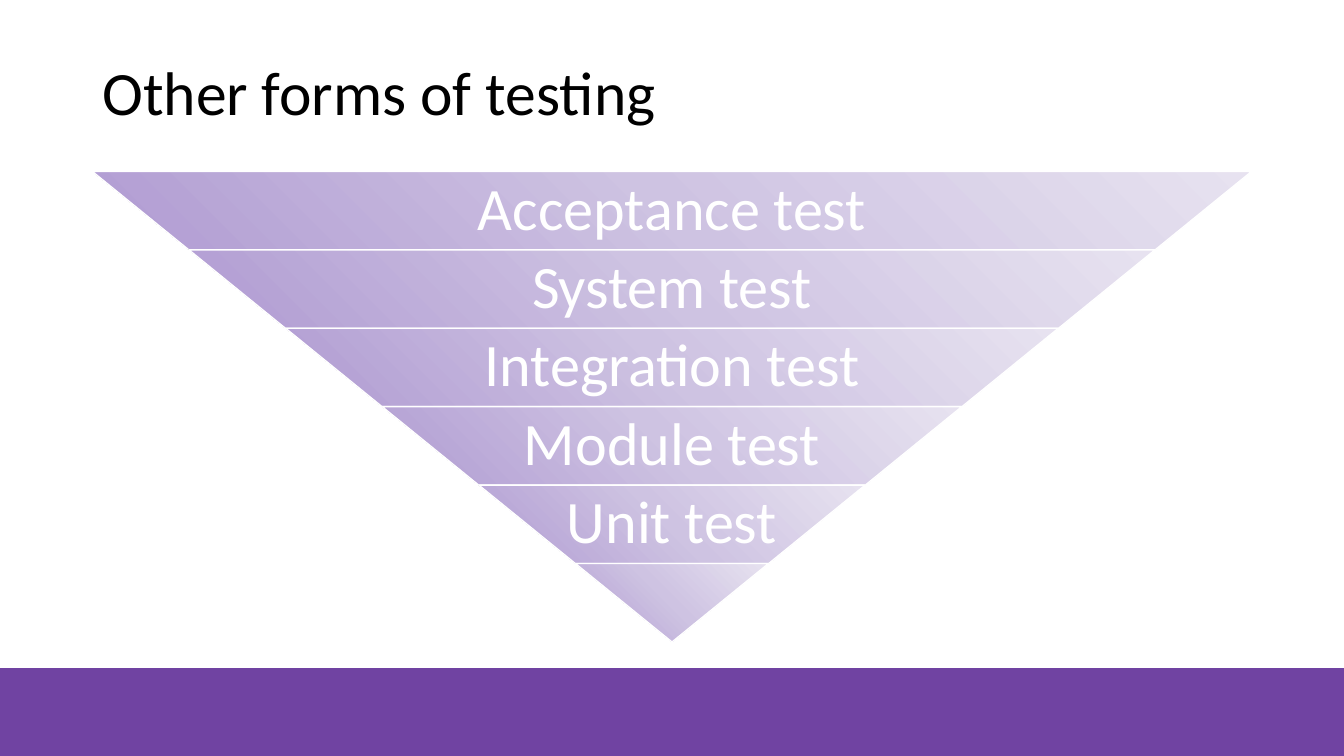
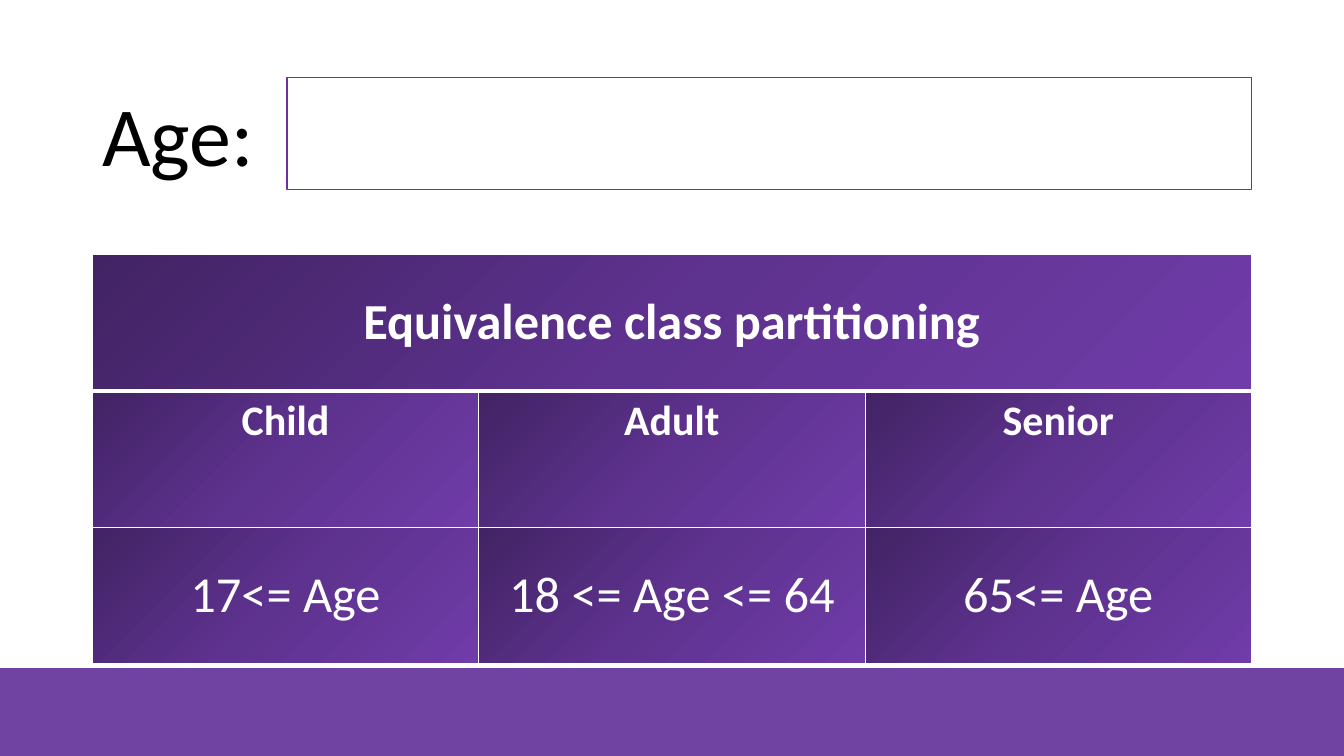
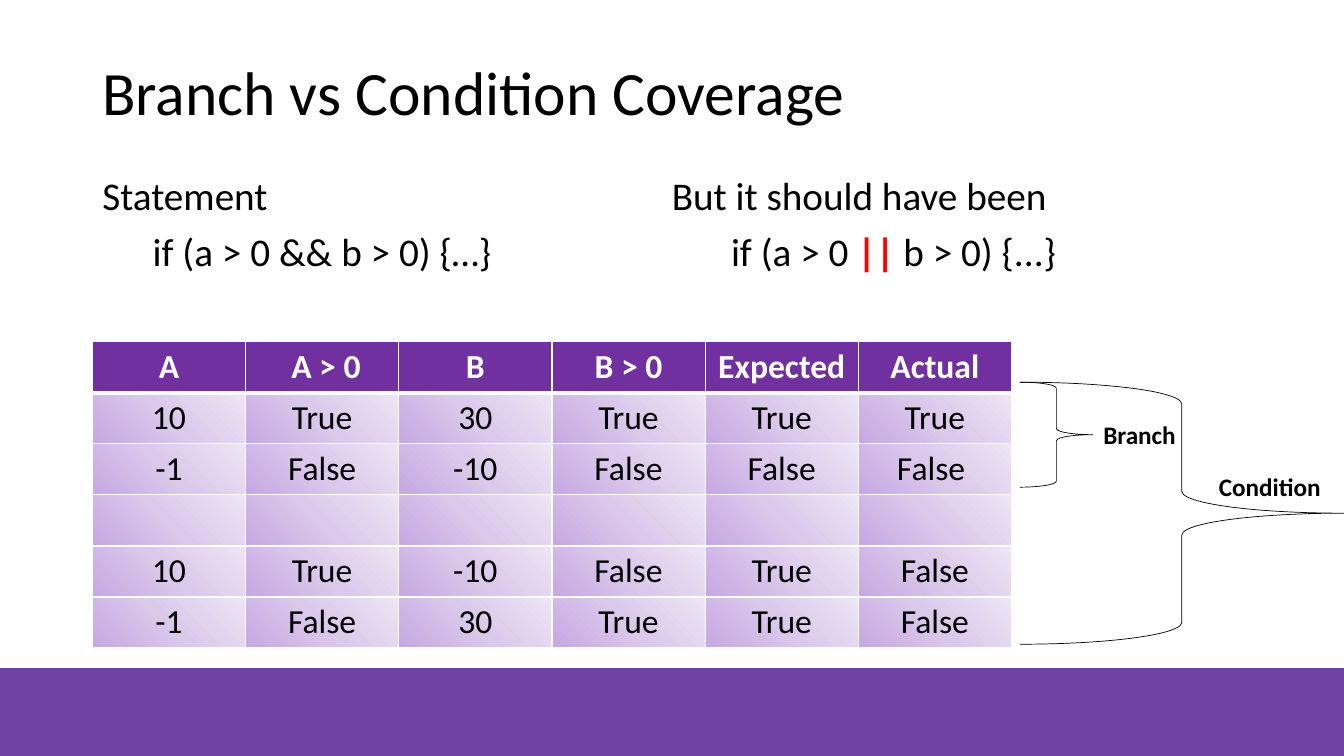
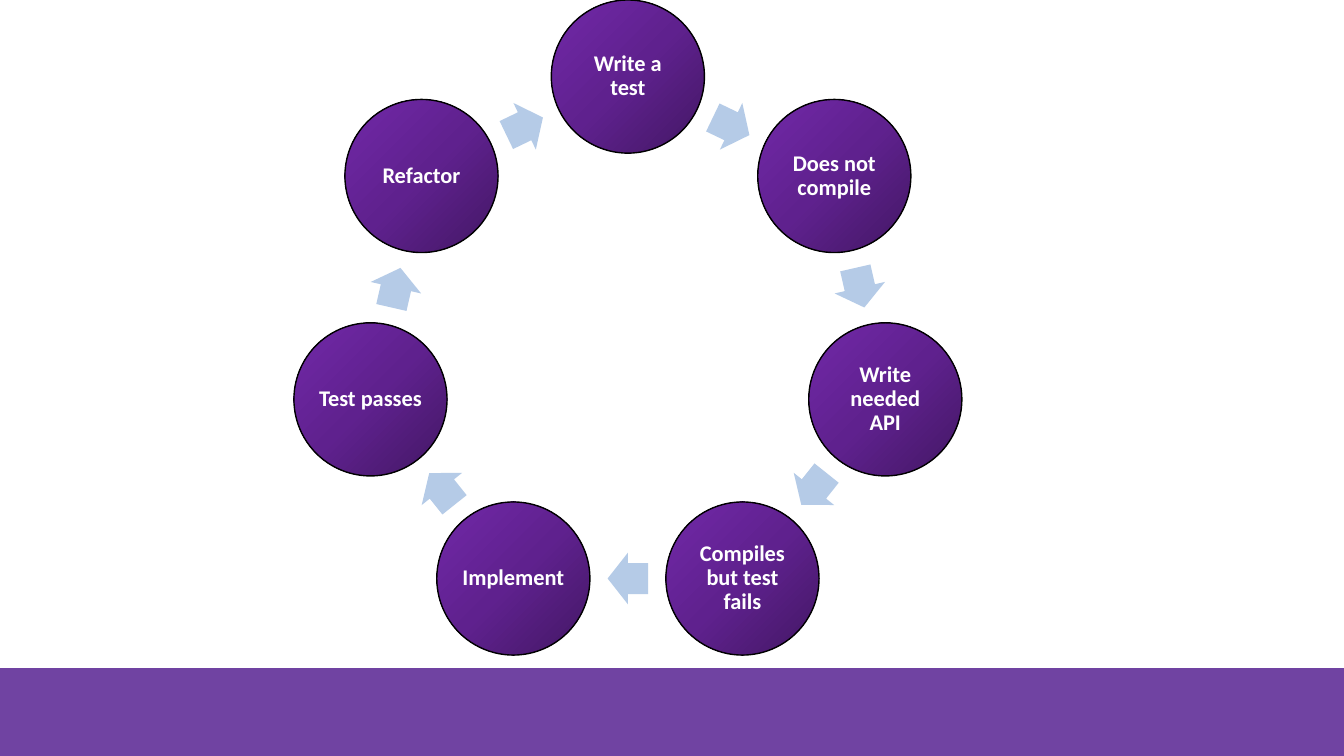
import math

import lxml.etree
import pptx
import pptx.dml.color
import pptx.enum.shapes
import pptx.enum.text
import pptx.oxml.ns
import pptx.util

Pt = pptx.util.Pt
Shape = pptx.enum.shapes.MSO_SHAPE
Align = pptx.enum.text.PP_ALIGN
Anchor = pptx.enum.text.MSO_ANCHOR
qn = pptx.oxml.ns.qn

FONT = "Calibri"
BLACK, WHITE, RED = "000000", "FFFFFF", "FF0000"
PURPLE, BAND, ARROW = "7030A0", "7043A2", "B5CBE7"
FUNNEL_STOPS = ("B09BD2", "CEC3E2", "E7E2F0")
CLASS_STOPS = ("422364", "5E328F", "703CA9")
COVERAGE_STOPS = ("C6A8E2", "DBC9EB", "EDE5F5")
CYCLE_STOPS = ("431764", "5F218E", "7128A8")

SLIDE_WIDTH, SLIDE_HEIGHT = 960, 540
BAND_TOP = 477.2
LEFT, CONTENT_WIDTH = 66, 828


def rgb(value):
    """Turn a hex string into a colour."""
    return pptx.dml.color.RGBColor.from_string(value)


def write_text(frame, text, size=18, color=BLACK, bold=False, align=Align.LEFT,
               anchor=Anchor.TOP, spacing=None, before=None, inset=None):
    """Fill a text frame; text is a string or a list of paragraphs, each a list of (text, color, bold)."""
    frame.word_wrap = True
    frame.vertical_anchor = anchor
    if inset is not None:
        frame.margin_left = frame.margin_right = Pt(inset)
        frame.margin_top = frame.margin_bottom = Pt(inset)
    paragraphs = [[(text, color, bold)]] if isinstance(text, str) else text
    for index, pieces in enumerate(paragraphs):
        paragraph = frame.add_paragraph() if index else frame.paragraphs[0]
        paragraph.alignment = align
        if spacing is not None:
            paragraph.line_spacing = spacing
        if before is not None:
            paragraph.space_before = Pt(before)
        for content, run_color, run_bold in pieces:
            run = paragraph.add_run()
            run.text = content
            run.font.name = FONT
            run.font.size = Pt(size)
            run.font.bold = run_bold
            run.font.color.rgb = rgb(run_color)


def add_text(slide, left, top, width, height, text, **text_format):
    """Add a text box."""
    box = slide.shapes.add_textbox(Pt(left), Pt(top), Pt(width), Pt(height))
    write_text(box.text_frame, text, **text_format)


def add_shape(slide, kind, left, top, width, height, fill=None, line=None, weight=1):
    """Add a preset shape with a plain fill and outline, or none."""
    shape = slide.shapes.add_shape(kind, Pt(left), Pt(top), Pt(width), Pt(height))
    shape.shadow.inherit = False
    if fill:
        shape.fill.solid()
        shape.fill.fore_color.rgb = rgb(fill)
    else:
        shape.fill.background()
    if line:
        shape.line.color.rgb = rgb(line)
        shape.line.width = Pt(weight)
    else:
        shape.line.fill.background()
    return shape


def set_gradient(fill, properties, colors, angle=None):
    """Give a three-stop gradient: linear at an angle, or radial from the lower left corner."""
    fill.gradient()
    gradient = properties.find(qn("a:gradFill"))
    for child in list(gradient):
        gradient.remove(child)
    stops = lxml.etree.SubElement(gradient, qn("a:gsLst"))
    for position, color in zip((0, 50000, 100000), colors):
        stop = lxml.etree.SubElement(stops, qn("a:gs"), pos=str(position))
        lxml.etree.SubElement(stop, qn("a:srgbClr"), val=color)
    if angle is None:
        radial = lxml.etree.SubElement(gradient, qn("a:path"), path="circle")
        lxml.etree.SubElement(radial, qn("a:fillToRect"), t="100000", r="100000")
    else:
        lxml.etree.SubElement(gradient, qn("a:lin"), ang=str(angle * 60000), scaled="0")


def set_borders(cell, top=1, bottom=1):
    """Draw white borders round a table cell."""
    properties = cell._tc.get_or_add_tcPr()
    weights = (("a:lnL", 1), ("a:lnR", 1), ("a:lnT", top), ("a:lnB", bottom))
    for index, (tag, weight) in enumerate(weights):
        border = lxml.etree.Element(qn(tag), w=str(Pt(weight)))
        solid = lxml.etree.SubElement(border, qn("a:solidFill"))
        lxml.etree.SubElement(solid, qn("a:srgbClr"), val=WHITE)
        properties.insert(index, border)


def add_table(slide, left, top, width, row_height, rows, style_cell):
    """Add a table; style_cell(cell, row, text) fills each cell."""
    frame = slide.shapes.add_table(len(rows), len(rows[0]), Pt(left), Pt(top),
                                   Pt(width), Pt(row_height * len(rows)))
    table = frame.table
    for row_index, row in enumerate(rows):
        table.rows[row_index].height = Pt(row_height)
        for column_index, text in enumerate(row):
            cell = table.cell(row_index, column_index)
            style_cell(cell, row_index, text)
            set_borders(cell, top=3 if row_index == 1 else 1,
                        bottom=3 if row_index == 0 else 1)
    return table


def add_slide(presentation, title=None):
    """Add a blank slide with the bottom band and an optional title."""
    slide = presentation.slides.add_slide(presentation.slide_layouts[6])
    add_shape(slide, Shape.RECTANGLE, 0, BAND_TOP, SLIDE_WIDTH,
              SLIDE_HEIGHT - BAND_TOP, fill=BAND)
    if title:
        add_text(slide, LEFT, 28.75, CONTENT_WIDTH, 79, title, size=44,
                 anchor=Anchor.MIDDLE, spacing=0.9)
    return slide


def build_funnel(presentation):
    """Test levels as an inverted pyramid."""
    slide = add_slide(presentation, "Other forms of testing")
    levels = ["Acceptance test", "System test", "Integration test",
              "Module test", "Unit test", None]
    top, height = 122.5, 56
    for index, level in enumerate(levels):
        width = CONTENT_WIDTH * (1 - index / len(levels))
        level_top = top + index * height
        layer = add_shape(slide, Shape.TRAPEZOID, (SLIDE_WIDTH - width) / 2, level_top,
                          width, height, line=WHITE)
        layer.rotation = 180
        layer.adjustments[0] = 1.23
        set_gradient(layer.fill, layer._element.spPr, FUNNEL_STOPS)
        if level:
            text_width = width * 0.65
            add_text(slide, (SLIDE_WIDTH - text_width) / 2, level_top, text_width, height,
                     level, size=43, color=WHITE, align=Align.CENTER,
                     anchor=Anchor.MIDDLE, spacing=0.9, inset=4.3)


def style_class_cell(cell, row, text):
    """Style a cell of the equivalence class table."""
    write_text(cell.text_frame, text, size=30 if row == 1 else 36, color=WHITE,
               bold=row < 2, align=Align.CENTER)
    cell.vertical_anchor = Anchor.TOP if row == 1 else Anchor.MIDDLE
    set_gradient(cell.fill, cell._tc.get_or_add_tcPr(), CLASS_STOPS, 45)


def build_classes(presentation):
    """Age field with its equivalence classes."""
    slide = add_slide(presentation)
    rows = [["Equivalence class partitioning", "", ""],
            ["Child", "Adult", "Senior"],
            ["17<= Age", "18 <= Age <= 64", "65<= Age"]]
    table = add_table(slide, LEFT, 181.5, CONTENT_WIDTH, 97.6, rows, style_class_cell)
    table.cell(0, 0).merge(table.cell(0, 2))
    add_text(slide, LEFT, 55.5, 278, 80, "Age:", size=60)
    add_shape(slide, Shape.RECTANGLE, 205, 55.5, 689, 80, line=PURPLE)


def style_coverage_cell(cell, row, text):
    """Style a cell of the coverage table."""
    header = row == 0
    write_text(cell.text_frame, text, size=24, color=WHITE if header else BLACK,
               bold=header, align=Align.CENTER)
    cell.vertical_anchor = Anchor.MIDDLE
    if header:
        cell.fill.solid()
        cell.fill.fore_color.rgb = rgb(PURPLE)
    else:
        set_gradient(cell.fill, cell._tc.get_or_add_tcPr(), COVERAGE_STOPS, 315)


def build_coverage(presentation):
    """Statement, truth table and the cases each coverage needs."""
    slide = add_slide(presentation, "Branch vs Condition Coverage")
    statement = [[("Statement", BLACK, False)],
                 [("\tif (a > 0 && b > 0) {…}", BLACK, False)]]
    correction = [[("But it should have been", BLACK, False)],
                  [("\t if (a > 0 ", BLACK, False), ("||", RED, True),
                   (" b > 0) {...}", BLACK, False)]]
    for left, text in ((LEFT, statement), (472.8, correction)):
        add_text(slide, left, 122.5, 421, 100, text, size=28, spacing=0.9, before=10)

    rows = [["A", " A > 0", "B", "B > 0", "Expected", "Actual"],
            ["10", "True", "30", "True", "True", "True"],
            ["-1", "False", "-10", "False", "False", "False "],
            [""] * 6,
            ["10", "True", "-10", "False", "True", "False"],
            ["-1", "False", "30", "True", "True", "False"]]
    add_table(slide, LEFT, 244, 656.6, 36.5, rows, style_coverage_cell)

    braces = (("Branch", 52, 75, 781, 296), ("Condition", 231.2, 187.2, 863.5, 333.2))
    for label, width, height, label_left, label_top in braces:
        add_shape(slide, Shape.RIGHT_BRACE, 728.6, 273, width, height,
                  line=BLACK, weight=0.5)
        add_text(slide, label_left, label_top, 102, 29, label, size=18, bold=True)


def build_cycle(presentation):
    """Test-driven steps on a ring, with arrows between them."""
    slide = add_slide(presentation)
    steps = ["Write a test", "Does not compile", "Write needed API",
             "Compiles but test fails", "Implement", "Test passes", "Refactor"]
    center_x, radius, diameter = 448.5, 188.6, 109.4
    center_y = radius + diameter / 2
    arrow_width, arrow_height = 29, 36.9
    turn = 360 / len(steps)
    arrow_radius = radius * math.cos(math.radians(turn / 2))

    def corner(angle, distance, width, height):
        """Left and top of an element centred on the ring."""
        radians = math.radians(angle)
        return (center_x + distance * math.sin(radians) - width / 2,
                center_y - distance * math.cos(radians) - height / 2)

    for index, step in enumerate(steps):
        angle = index * turn
        circle = add_shape(slide, Shape.OVAL, *corner(angle, radius, diameter, diameter),
                           diameter, diameter, line=BLACK)
        set_gradient(circle.fill, circle._element.spPr, CYCLE_STOPS, 225)
        write_text(circle.text_frame, step, size=16, color=WHITE, bold=True,
                   align=Align.CENTER, anchor=Anchor.MIDDLE, spacing=0.9, inset=1.6)
        angle += turn / 2
        arrow = add_shape(slide, Shape.RIGHT_ARROW,
                          *corner(angle, arrow_radius, arrow_width, arrow_height),
                          arrow_width, arrow_height, fill=ARROW)
        arrow.adjustments[0] = 0.6
        arrow.rotation = angle


def main():
    """Build and save the presentation."""
    presentation = pptx.Presentation()
    presentation.slide_width = Pt(SLIDE_WIDTH)
    presentation.slide_height = Pt(SLIDE_HEIGHT)
    build_funnel(presentation)
    build_classes(presentation)
    build_coverage(presentation)
    build_cycle(presentation)
    presentation.save("out.pptx")


main()
